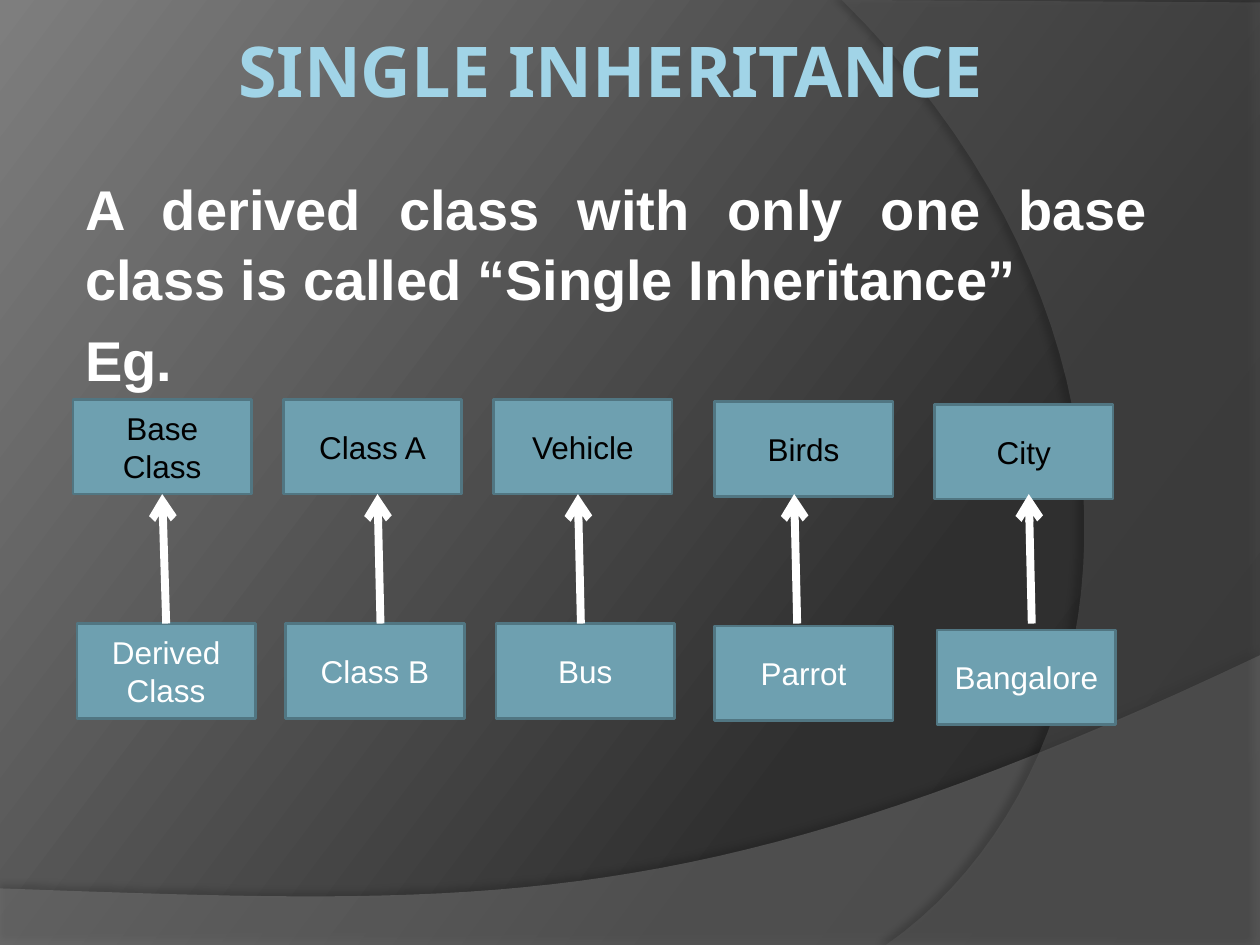
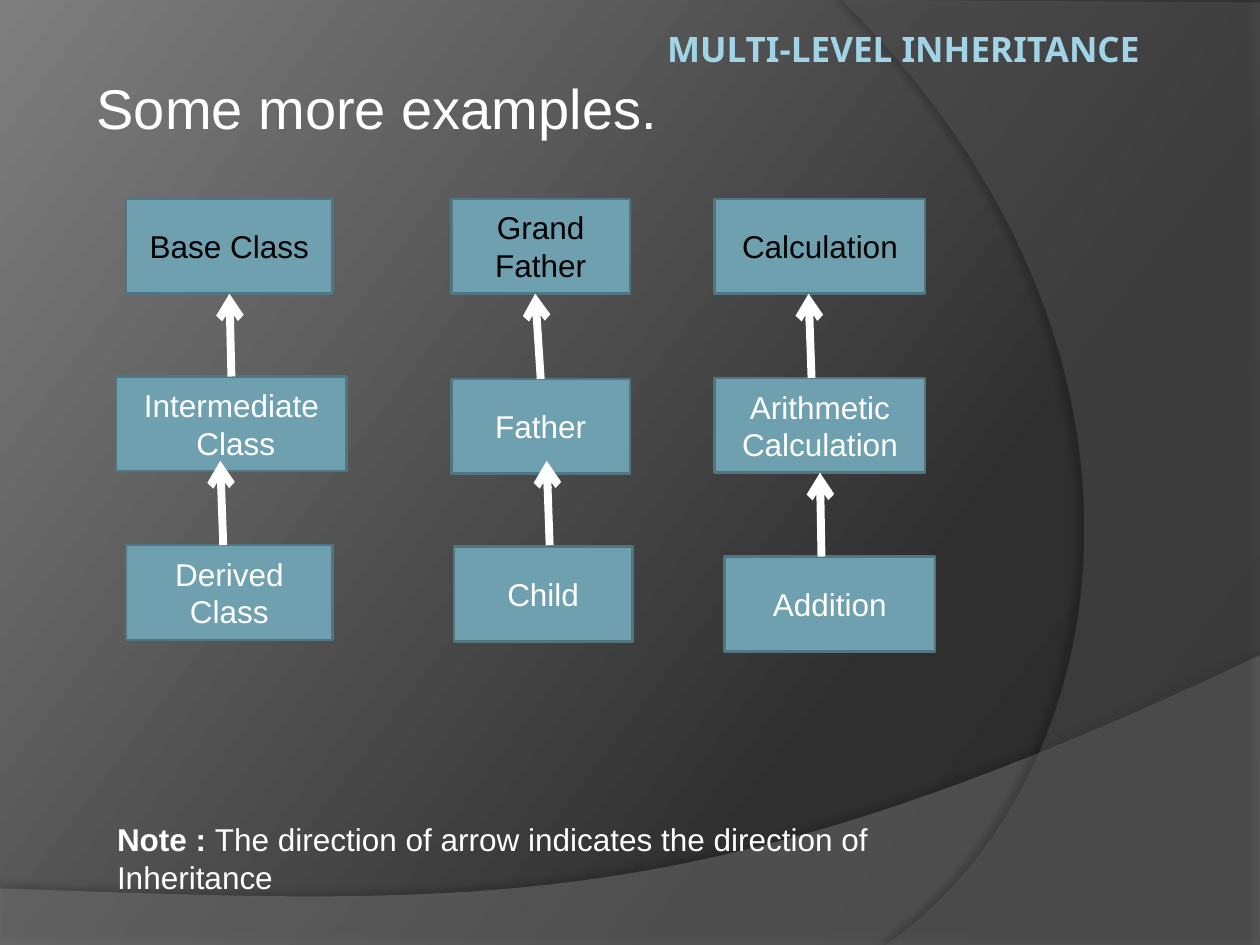
from lxml import etree
from pptx import Presentation
from pptx import util as u
from pptx.dml import color as dml
from pptx.enum import shapes, text
from pptx.oxml import ns

COLORS = {
    "night": "282828",
    "charcoal": "2F2F2F",
    "silver": "7E7E7E",
    "lower_band": "7F7F7F",
    "right_band": "5E5E5E",
    "shadow": "000000",
    "title": "A1D4E7",
    "box": "6EA0B0",
    "box_line": "517682",
    "base_text": "000000",
    "white": "FFFFFF",
}
BODY_FONT = "Arial"
TITLE_FONT = "Noto Sans"
BOX_HEIGHT = 1.91
BOX_WIDTH = 3.6
ARROW_LEAN = 0.06
JOIN_TOLERANCE = 0.08

BANDS = [
    {"color": "lower_band", "opacity": 45, "shadow": (35, 3.5, 270),
     "corners": [(0, 17.91), (0, 19.05), (25.4, 19.05), (25.4, 13.21)],
     "curve": [(25.4, 13.21), (14.2, 18.52), (9.93, 18.26), (0, 17.91)]},
    {"color": "right_band", "opacity": 40, "shadow": (45, 4, 180),
     "corners": [(25.4, 0.05), (25.4, 19.05), (17.86, 19.05)],
     "curve": [(17.86, 19.05), (22.63, 15.72), (24.05, 6.99), (16.97, 0)]},
]

SINGLE_CHAINS = [
    ([("Base Class", 0, 0, BOX_WIDTH), ("Derived Class", 0.08, 4.52, BOX_WIDTH)],
     [(1.88, 4.52)]),
    ([("Class A", 4.24, 0, BOX_WIDTH), ("Class B", 4.29, 4.52, BOX_WIDTH)],
     [(6.2, 4.52)]),
    ([("Vehicle", 8.48, 0, BOX_WIDTH), ("Bus", 8.53, 4.52, BOX_WIDTH)],
     [(10.24, 4.52)]),
    ([("Birds", 12.93, 0.05, BOX_WIDTH), ("Parrot", 12.93, 4.57, BOX_WIDTH)],
     [(14.6, 4.52)]),
    ([("City", 17.37, 0.1, BOX_WIDTH), ("Bangalore", 17.42, 4.65, BOX_WIDTH)],
     [(19.33, 4.52)]),
]

MULTI_LEVEL_CHAINS = [
    ([("Base Class", 0.2, 0, 4.17), ("Intermediate\n Class", 0, 3.58, 4.65),
      ("Derived Class", 0.2, 6.98, 4.17)],
     [(2.39, 3.61), (2.16, 6.98)]),
    ([("Grand Father", 6.76, 0, BOX_WIDTH), ("Father", 6.76, 3.63, BOX_WIDTH),
      ("Child", 6.81, 7.01, BOX_WIDTH)],
     [(8.51, 3.61), (8.74, 6.98)]),
    ([("Calculation", 12.07, 0, 4.24), ("Arithmetic Calculation", 12.07, 3.61, 4.24),
      ("Addition", 12.27, 7.21, 4.24)],
     [(14.02, 3.61), (14.22, 7.21)]),
]


def rgb(name):
    return dml.RGBColor.from_string(COLORS[name])


def add_element(parent, tag, **attributes):
    element = etree.SubElement(parent, ns.qn(tag))
    for name, value in attributes.items():
        element.set(name, str(value))
    return element


def format_font(font, size, color, bold=False, name=BODY_FONT):
    font.name = name
    font.size = u.Pt(size)
    font.bold = bold
    font.color.rgb = rgb(color)


def paint_background(slide):
    slide.background.fill.gradient()
    gradient = slide.element.find(".//" + ns.qn("a:gradFill"))
    stops = gradient.find(ns.qn("a:gsLst"))
    for stop in list(stops):
        stops.remove(stop)
    for position, color in ((0, "night"), (30, "charcoal"), (100, "silver")):
        stop = add_element(stops, "a:gs", pos=position * 1000)
        add_element(stop, "a:srgbClr", val=COLORS[color])
    gradient.find(ns.qn("a:lin")).set("ang", str(217 * 60000))


def curve_points(controls, steps=40):
    points = []
    for step in range(1, steps + 1):
        t = step / steps
        weights = ((1 - t) ** 3, 3 * t * (1 - t) ** 2, 3 * t ** 2 * (1 - t), t ** 3)
        points.append(tuple(sum(weight * control[axis]
                                for weight, control in zip(weights, controls))
                            for axis in (0, 1)))
    return points


def add_band(slide, band):
    outline = [(u.Cm(x), u.Cm(y)) for x, y in band["corners"] + curve_points(band["curve"])]
    builder = slide.shapes.build_freeform(*outline[0], scale=1.0)
    builder.add_line_segments(outline[1:], close=True)
    shape = builder.convert_to_shape()
    shape.line.fill.background()
    shape.fill.solid()
    shape.fill.fore_color.rgb = rgb(band["color"])
    fill_color = shape.element.spPr.find(ns.qn("a:solidFill"))[0]
    add_element(fill_color, "a:alpha", val=band["opacity"] * 1000)
    opacity, distance, angle = band["shadow"]
    effects = add_element(shape.element.spPr, "a:effectLst")
    shadow = add_element(effects, "a:outerShdw", blurRad=u.Pt(4), dist=u.Pt(distance),
                         dir=angle * 60000, algn="ctr", rotWithShape=0)
    shadow_color = add_element(shadow, "a:srgbClr", val=COLORS["shadow"])
    add_element(shadow_color, "a:alpha", val=opacity * 1000)


def add_text(slide, box, content, insets, anchor=text.MSO_ANCHOR.TOP):
    shape = slide.shapes.add_textbox(*map(u.Cm, box))
    frame = shape.text_frame
    frame.word_wrap = True
    frame.vertical_anchor = anchor
    (frame.margin_left, frame.margin_top,
     frame.margin_right, frame.margin_bottom) = map(u.Cm, insets)
    frame.text = content
    return frame


def add_title(slide, content, size, alignment):
    frame = add_text(slide, (1.7, 0.43, 21.59, 2.11), content, (0.13,) * 4)
    paragraph = frame.paragraphs[0]
    paragraph.alignment = alignment
    format_font(paragraph.runs[0].font, size, "title", True, TITLE_FONT)


def add_statement(slide, box, content, bold):
    frame = add_text(slide, box, content, (0.25, 0, 0.13, 0), text.MSO_ANCHOR.BOTTOM)
    for paragraph in frame.paragraphs:
        paragraph.alignment = text.PP_ALIGN.JUSTIFY
        paragraph.space_before = u.Pt(6.4)
        paragraph.line_spacing = 1.04
        format_font(paragraph.runs[0].font, 32, "white", bold)


def add_note(slide, box, label, content):
    frame = add_text(slide, box, label, (0.25, 0.13, 0.25, 0.13))
    paragraph = frame.paragraphs[0]
    format_font(paragraph.runs[0].font, 18, "white", True)
    run = paragraph.add_run()
    run.text = content
    format_font(run.font, 18, "white")


def add_class_box(slide, left, top, width, label, color):
    shape = slide.shapes.add_shape(shapes.MSO_SHAPE.RECTANGLE, u.Cm(left), u.Cm(top),
                                   u.Cm(width), u.Cm(BOX_HEIGHT))
    shape.shadow.inherit = False
    shape.fill.solid()
    shape.fill.fore_color.rgb = rgb("box")
    shape.line.color.rgb = rgb("box_line")
    shape.line.width = u.Pt(1.5)
    frame = shape.text_frame
    frame.word_wrap = True
    frame.vertical_anchor = text.MSO_ANCHOR.MIDDLE
    frame.text = label
    for paragraph in frame.paragraphs:
        paragraph.alignment = text.PP_ALIGN.CENTER
        format_font(paragraph.runs[0].font, 18, color)
    return shape


def is_near(point, shape, side_y):
    middle = shape.left + shape.width / 2
    tolerance = u.Cm(JOIN_TOLERANCE)
    return abs(point[0] - middle) <= tolerance and abs(point[1] - side_y) <= tolerance


def add_arrow(slide, foot, head, derived, base):
    foot = tuple(map(u.Cm, foot))
    head = tuple(map(u.Cm, head))
    connector = slide.shapes.add_connector(shapes.MSO_CONNECTOR.STRAIGHT, *foot, *head)
    if is_near(foot, derived, derived.top):
        connector.begin_connect(derived, 0)
    if is_near(head, base, base.top + base.height):
        connector.end_connect(base, 2)
    connector.line.color.rgb = rgb("white")
    connector.line.width = u.Pt(4.5)
    add_element(connector.line._get_or_add_ln(), "a:tailEnd", type="arrow")
    add_element(connector.element.spPr, "a:effectLst")


def add_chains(slide, left, top, chains, rise):
    for boxes, feet in chains:
        classes = [add_class_box(slide, left + x, top + y, width, label,
                                 "white" if level else "base_text")
                   for level, (label, x, y, width) in enumerate(boxes)]
        for (x, y), base, derived in zip(feet, classes, classes[1:]):
            foot = (left + x, top + y)
            head = (foot[0] - ARROW_LEAN, foot[1] - rise)
            add_arrow(slide, foot, head, derived, base)


def add_base_slide(presentation):
    slide = presentation.slides.add_slide(presentation.slide_layouts[6])
    paint_background(slide)
    for band in BANDS:
        add_band(slide, band)
    return slide


def add_single_slide(presentation):
    slide = add_base_slide(presentation)
    add_title(slide, "SINGLE INHERITANCE ", 40, text.PP_ALIGN.CENTER)
    add_statement(slide, (1.47, 3.4, 21.8, 4.52),
                  "A derived class with only one base class is called "
                  "“Single Inheritance”\nEg.", True)
    add_chains(slide, 1.47, 8.05, SINGLE_CHAINS, 2.61)


def add_multi_level_slide(presentation):
    slide = add_base_slide(presentation)
    add_title(slide, "MULTI-LEVEL INHERITANCE ", 20, text.PP_ALIGN.RIGHT)
    add_statement(slide, (1.7, 1.3, 21.8, 1.54), "Some more examples.", False)
    add_note(slide, (2.11, 16.41, 17.8, 1.65), "Note : ",
             "The direction of arrow indicates the direction of Inheritance")
    add_chains(slide, 2.34, 4.01, MULTI_LEVEL_CHAINS, 1.7)


def main():
    presentation = Presentation()
    presentation.slide_width = u.Cm(25.4)
    presentation.slide_height = u.Cm(19.05)
    add_single_slide(presentation)
    add_multi_level_slide(presentation)
    presentation.save("out.pptx")


if __name__ == "__main__":
    main()
